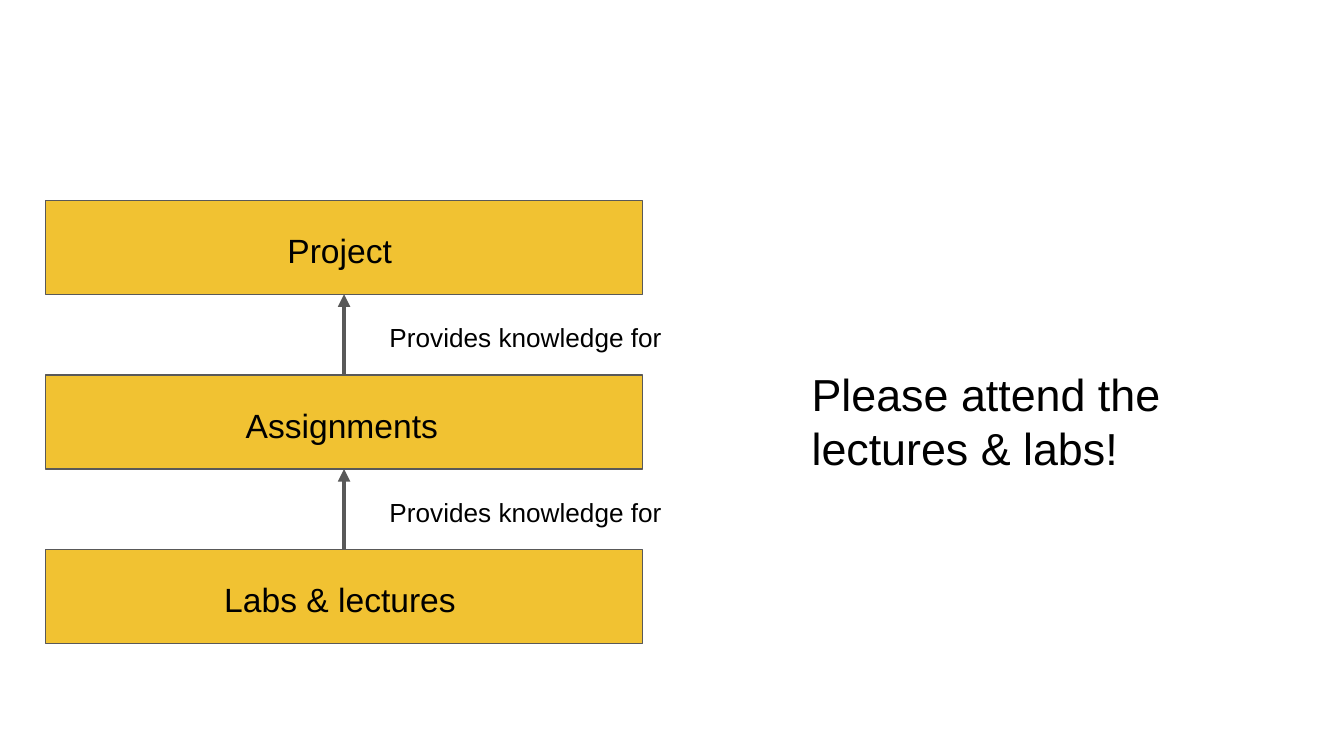
import pptx
import pptx.util
import pptx.dml.color
import pptx.enum.shapes
import pptx.oxml

PX = 9144  # 100 px to the inch
INK = pptx.dml.color.RGBColor(0x00, 0x00, 0x00)
GOLD = pptx.dml.color.RGBColor(0xF1, 0xC2, 0x32)
GREY = pptx.dml.color.RGBColor(0x59, 0x59, 0x59)
NS = 'xmlns:a="http://schemas.openxmlformats.org/drawingml/2006/main"'


def emu(*sizes):
    return [size * PX for size in sizes]


def label(slide, box, text, size):
    area = slide.shapes.add_textbox(*emu(*box))
    frame = area.text_frame
    frame.word_wrap = True
    frame.margin_left = frame.margin_right = 10 * PX
    frame.margin_top = frame.margin_bottom = 10 * PX
    frame.text = text
    font = frame.paragraphs[0].runs[0].font
    font.name = "Arial"
    font.size = pptx.util.Pt(size)
    font.color.rgb = INK


def bar(slide, box):
    shape = slide.shapes.add_shape(
        pptx.enum.shapes.MSO_SHAPE.RECTANGLE, *emu(*box))
    shape.shadow.inherit = False
    shape.fill.solid()
    shape.fill.fore_color.rgb = GOLD
    shape.line.color.rgb = GREY
    shape.line.width = pptx.util.Pt(0.75)


def arrow(slide, start, end):
    link = slide.shapes.add_connector(
        pptx.enum.shapes.MSO_CONNECTOR.STRAIGHT, *emu(*start, *end))
    link.line.color.rgb = GREY
    link.line.width = pptx.util.Pt(2.25)
    props = link.line._get_or_add_ln()
    props.append(pptx.oxml.parse_xml(f'<a:tailEnd {NS} type="triangle"/>'))
    link._element.spPr.append(pptx.oxml.parse_xml(f"<a:effectLst {NS}/>"))


def stack(slide, box, steps):
    """Draw equal bars from top to bottom, each feeding the one above."""
    left, top, width, height = box
    tall = 70
    pitch = (height - tall) // (len(steps) - 1)
    mid = left + width // 2
    for row, (name, wide) in enumerate(steps):
        y = top + row * pitch
        bar(slide, (left, y, width, tall))
        label(slide, (mid - wide // 2, y + 12, wide, 46), name, 18)
        if row:
            foot = y - pitch + tall
            arrow(slide, (mid, y), (mid, foot))
            label(slide, (mid + 24, foot + 10, 234, 40),
                  "Provides knowledge for", 14)


def main():
    deck = pptx.Presentation()
    deck.slide_width = 1000 * PX
    deck.slide_height = deck.slide_width * 9 // 16
    slide = deck.slides.add_slide(deck.slide_layouts[6])
    steps = [("Project", 105), ("Assignments", 166), ("Labs & lectures", 198)]
    stack(slide, (34, 149, 444, 330), steps)
    label(slide, (594, 263, 291, 103),
          "Please attend the lectures & labs!", 24)
    deck.save("out.pptx")


if __name__ == "__main__":
    main()
